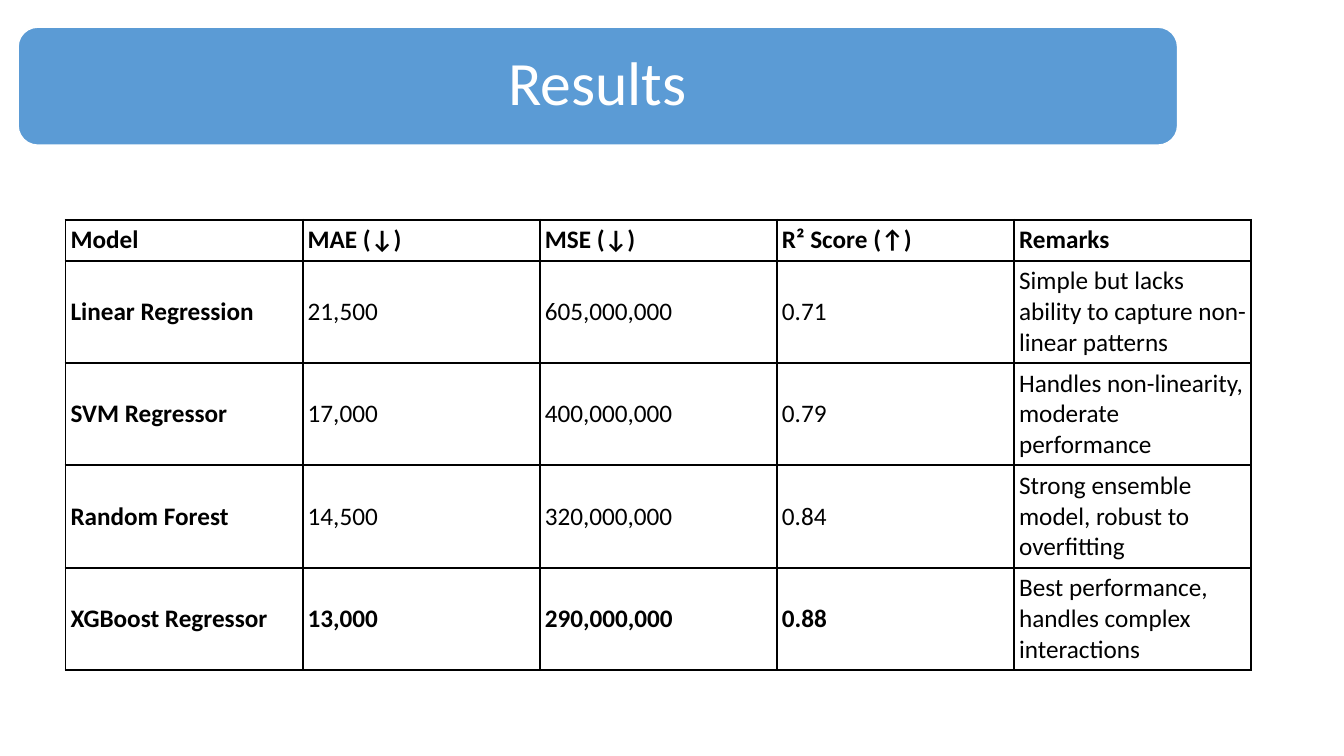
import dataclasses

import lxml.etree
import pptx
import pptx.dml.color
import pptx.enum.shapes
import pptx.enum.text
import pptx.oxml.ns
import pptx.util
from pptx.util import Inches


@dataclasses.dataclass(frozen=True)
class Theme:
    font: str = "Calibri"
    banner: str = "5B9BD5"
    light: str = "FFFFFF"
    dark: str = "000000"
    title_size: int = 44
    table_size: int = 18
    banner_line: float = 1
    border: float = 1.5


THEME = Theme()
HEADINGS = ("Model", "MAE (↓)", "MSE (↓)", "R² Score (↑)", "Remarks")
RESULTS = (
    ("Linear Regression", "21,500", "605,000,000", "0.71",
     "Simple but lacks ability to capture non-linear patterns"),
    ("SVM Regressor", "17,000", "400,000,000", "0.79",
     "Handles non-linearity, moderate performance"),
    ("Random Forest", "14,500", "320,000,000", "0.84",
     "Strong ensemble model, robust to overfitting"),
    ("XGBoost Regressor", "13,000", "290,000,000", "0.88",
     "Best performance, handles complex interactions"),
)


def rgb(value):
    return pptx.dml.color.RGBColor.from_string(value)


def set_font(paragraph, size, color, bold=False):
    paragraph.font.name = THEME.font
    paragraph.font.size = pptx.util.Pt(size)
    paragraph.font.color.rgb = rgb(color)
    paragraph.font.bold = bold


def set_margins(holder, margin):
    holder.margin_left = holder.margin_right = Inches(margin)
    holder.margin_top = holder.margin_bottom = Inches(margin)


def add_banner(slide):
    banner = slide.shapes.add_shape(
        pptx.enum.shapes.MSO_SHAPE.ROUNDED_RECTANGLE,
        Inches(0.18), Inches(0.27), Inches(11.5), Inches(1.17))
    banner.shadow.inherit = False
    banner.fill.solid()
    banner.fill.fore_color.rgb = rgb(THEME.banner)
    banner.line.color.rgb = rgb(THEME.light)
    banner.line.width = pptx.util.Pt(THEME.banner_line)


def place_title(slide, text):
    title = slide.shapes.title
    title.left, title.top = Inches(0.23), Inches(0.36)
    title.width, title.height = Inches(11.39), Inches(0.98)
    slide.shapes._spTree.append(title._element)
    frame = title.text_frame
    frame.text = text
    frame.word_wrap = True
    frame.auto_size = pptx.enum.text.MSO_AUTO_SIZE.NONE
    frame.vertical_anchor = pptx.enum.text.MSO_ANCHOR.MIDDLE
    set_margins(frame, 0.18)
    paragraph = frame.paragraphs[0]
    paragraph.alignment = pptx.enum.text.PP_ALIGN.CENTER
    paragraph.line_spacing = 0.9
    paragraph.space_before = pptx.util.Pt(18)
    set_font(paragraph, THEME.title_size, THEME.light)


def set_borders(cell):
    qn = pptx.oxml.ns.qn
    properties = cell._tc.get_or_add_tcPr()
    for position, side in enumerate(("a:lnL", "a:lnR", "a:lnT", "a:lnB")):
        border = lxml.etree.Element(qn(side), w=str(pptx.util.Pt(THEME.border)))
        fill = lxml.etree.SubElement(border, qn("a:solidFill"))
        lxml.etree.SubElement(fill, qn("a:srgbClr"), val=THEME.dark)
        properties.insert(position, border)


def fill_cell(cell, text, bold):
    cell.text = text
    cell.vertical_anchor = pptx.enum.text.MSO_ANCHOR.MIDDLE
    set_margins(cell, 0.05)
    set_font(cell.text_frame.paragraphs[0], THEME.table_size, THEME.dark, bold)
    cell.fill.background()
    set_borders(cell)


def add_results_table(slide):
    rows = (HEADINGS, *RESULTS)
    table = slide.shapes.add_table(
        len(rows), len(HEADINGS),
        Inches(0.65), Inches(2.18), Inches(11.76), Inches(4.4)).table
    table.horz_banding = False
    best = len(rows) - 1
    remarks = len(HEADINGS) - 1
    for row_number, values in enumerate(rows):
        table.rows[row_number].height = Inches(1 if row_number else 0.4)
        for column, value in enumerate(values):
            bold = (row_number == 0 or column == 0
                    or row_number == best and column != remarks)
            fill_cell(table.cell(row_number, column), value, bold)


def main():
    presentation = pptx.Presentation()
    presentation.slide_width = Inches(13.33)
    presentation.slide_height = Inches(7.5)
    slide = presentation.slides.add_slide(presentation.slide_layouts[5])
    add_banner(slide)
    place_title(slide, "Results")
    add_results_table(slide)
    presentation.save("out.pptx")


if __name__ == "__main__":
    main()
